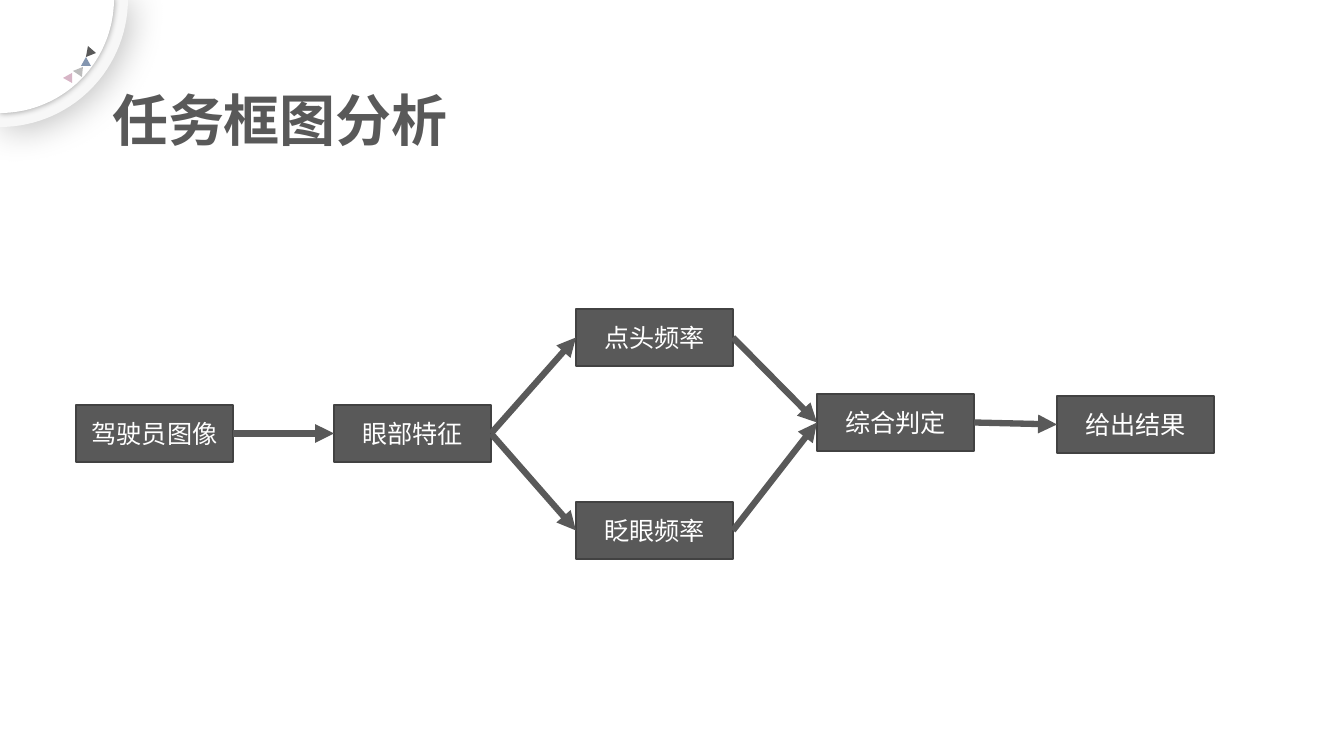
import math
from lxml import etree
from pptx import Presentation, util as u
from pptx.dml.color import RGBColor
from pptx.enum import shapes, text
from pptx.oxml import ns

PX = 914400 / 100.8
COLORS = {"dark": "595959", "edge": "424242", "white": "FFFFFF", "ring": "F7F7F7",
          "blue": "8496B0", "grey": "BCBCBC", "pink": "D7B5C6", "shadow": "000000"}


def px(*values):
    return [u.Emu(round(v * PX)) for v in values]


def polygon(points, color):
    start, *rest = [px(*point) for point in points]
    builder = s.shapes.build_freeform(*start, scale=1.0)
    builder.add_line_segments(rest, close=True)
    sp = builder.convert_to_shape()
    sp.shadow.inherit = False
    sp.fill.solid()
    sp.fill.fore_color.rgb = RGBColor.from_string(COLORS[color])
    sp.line.fill.background()
    return sp


prs = Presentation()
prs.slide_width, prs.slide_height = px(1344, 756)
s = prs.slides.add_slide(prs.slide_layouts[5])

for radius, color, alpha, blur, dist, angle in [
        (128, "ring", 25, 26, 3, 45), (114, "white", 40, 5, 0, 0)]:
    arc = [(radius * math.cos(math.radians(a)), radius * math.sin(math.radians(a)) - 1)
           for a in range(0, 91, 3)]
    disc = polygon([(0, -1)] + arc, color)
    effects = disc.element.spPr.find(ns.qn("a:effectLst"))
    shadow = etree.SubElement(effects, ns.qn("a:outerShdw"), blurRad=str(blur * 12700),
                              dist=str(dist * 12700), dir=str(angle * 60000),
                              algn="ctr", rotWithShape="0")
    tint = etree.SubElement(shadow, ns.qn("a:srgbClr"), val=COLORS["shadow"])
    etree.SubElement(tint, ns.qn("a:alpha"), val=str(alpha * 1000))

for points, color in [
        ([(88, 46), (96, 53), (86, 57)], "dark"),
        ([(86, 57), (91, 66), (81, 66)], "blue"),
        ([(83, 67), (82, 77), (73, 71)], "grey"),
        ([(72, 73), (72, 83), (63, 78)], "pink")]:
    polygon(points, color)

title = s.shapes.title
title.left, title.top, title.width, title.height = px(102, 54, 1078, 116)
s.shapes.element.append(title.element)
tf = title.text_frame
tf.text = "任务框图分析"
tf.vertical_anchor = text.MSO_ANCHOR.MIDDLE
p = tf.paragraphs[0]
p.alignment = text.PP_ALIGN.LEFT
p.line_spacing = 1.2
r = p.runs[0]
r.font.name = "Noto Sans CJK SC"
r.font.size = u.Pt(40)
r.font.bold = True
r.font.color.rgb = RGBColor.from_string(COLORS["dark"])
etree.SubElement(r.font._element, ns.qn("a:ea"), typeface="Noto Sans CJK SC")

boxes = {}
for label, left, top in [
        ("驾驶员图像", 76, 405), ("眼部特征", 334, 405), ("点头频率", 576, 309),
        ("眨眼频率", 576, 502), ("综合判定", 817, 394), ("给出结果", 1057, 396)]:
    sp = s.shapes.add_shape(shapes.MSO_SHAPE.FLOWCHART_PROCESS, *px(left, top, 157, 57))
    sp.shadow.inherit = False
    sp.fill.solid()
    sp.fill.fore_color.rgb = RGBColor.from_string(COLORS["dark"])
    sp.line.color.rgb = RGBColor.from_string(COLORS["edge"])
    sp.line.width = u.Pt(1)
    tf = sp.text_frame
    tf.text = label
    tf.vertical_anchor = text.MSO_ANCHOR.MIDDLE
    p = tf.paragraphs[0]
    p.alignment = text.PP_ALIGN.CENTER
    p.font.name = "Arial"
    p.font.size = u.Pt(18)
    p.font.color.rgb = RGBColor.from_string(COLORS["white"])
    boxes[label] = sp

for source, target in [
        ("驾驶员图像", "眼部特征"), ("眼部特征", "点头频率"), ("眼部特征", "眨眼频率"),
        ("点头频率", "综合判定"), ("眨眼频率", "综合判定"), ("综合判定", "给出结果")]:
    arrow = s.shapes.add_connector(shapes.MSO_CONNECTOR.STRAIGHT, 0, 0, 0, 0)
    arrow.begin_connect(boxes[source], 3)
    arrow.end_connect(boxes[target], 1)
    arrow.line.color.rgb = RGBColor.from_string(COLORS["dark"])
    arrow.line.width = u.Pt(4.5)
    etree.SubElement(arrow.line._get_or_add_ln(), ns.qn("a:tailEnd"), type="triangle")
    etree.SubElement(arrow.element.spPr, ns.qn("a:effectLst"))

prs.save("out.pptx")
